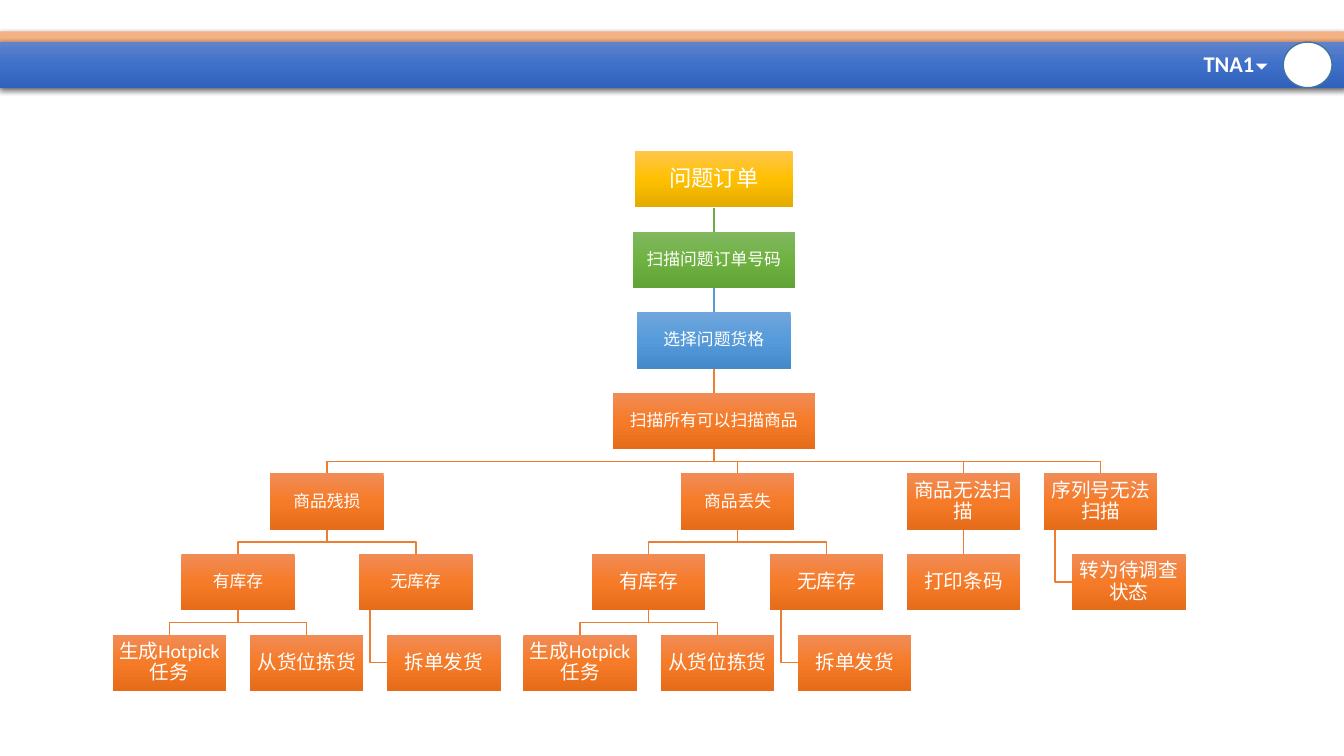
from copy import deepcopy
from dataclasses import dataclass, field

from lxml.etree import SubElement
from pptx import Presentation
from pptx.dml.color import RGBColor
from pptx.enum.shapes import MSO_CONNECTOR, MSO_SHAPE
from pptx.enum.text import MSO_ANCHOR, MSO_AUTO_SIZE, PP_ALIGN
from pptx.oxml.ns import qn
from pptx.util import Cm, Pt


@dataclass
class Theme:
    font: str = "Calibri"
    large: int = 16
    medium: int = 14
    small: int = 12
    white: str = "FFFFFF"
    stripe: str = "F4B183"
    badge_line: str = "43739E"
    header: tuple = ("6183CB", "3E70CA", "3062BB")
    # Each family: box gradient from top to bottom, then connector colour
    families: dict = field(default_factory=lambda: {
        "gold": (("FFC64B", "FFC000", "E3AB00"), "FFC000"),
        "green": (("81B861", "6FB242", "62A336"), "70AD47"),
        "blue": (("71A6DB", "559BDB", "448ACA"), "5B9BD5"),
        "orange": (("F18C57", "F67B28", "E56C19"), "ED7D31"),
    })


THEME = Theme()
SLIDE_W, SLIDE_H = 33.87, 19.05
ROW_TOP, ROW_STEP, BOX_H, BOX_W = 3.81, 2.03, 1.42, 2.86
ROOT_X = 17.99
HANG_INDENT = 0.28


@dataclass
class Node:
    text: str
    dx: float = 0  # centre, measured from the parent's centre
    children: list = field(default_factory=list)
    size: int = THEME.medium
    family: str = "orange"
    width: float = BOX_W
    hang: bool = False  # joined at its left side


class Deck:
    def __init__(self, theme):
        self.theme = theme
        self.prs = Presentation()
        self.prs.slide_width, self.prs.slide_height = Cm(SLIDE_W), Cm(SLIDE_H)
        self.slide = self.prs.slides.add_slide(self.prs.slide_layouts[6])

    def shape(self, kind, x, y, w, h, fill, line=None, shadow=False):
        s = self.slide.shapes.add_shape(kind, Cm(x), Cm(y), Cm(w), Cm(h))
        s.shadow.inherit = False
        if isinstance(fill, str):
            s.fill.solid()
            s.fill.fore_color.rgb = RGBColor.from_string(fill)
        else:
            self.gradient(s, fill)
        if line:
            self.stroke(s, line)
        else:
            s.line.fill.background()
        if shadow:
            self.drop_shadow(s)
        return s

    def gradient(self, s, colours):
        s.fill.gradient()
        s.fill.gradient_angle = 270
        stops = s._element.spPr.find(".//" + qn("a:gsLst"))
        stops.append(deepcopy(stops[0]))
        for i, (stop, colour) in enumerate(zip(s.fill.gradient_stops, colours)):
            stop.position = i / 2
            stop.color.rgb = RGBColor.from_string(colour)

    def drop_shadow(self, s):
        effects = s._element.spPr.find(qn("a:effectLst"))
        shadow = SubElement(effects, qn("a:outerShdw"), blurRad=str(Pt(4.5)),
                            dist=str(Pt(1.5)), dir="5400000", rotWithShape="0")
        colour = SubElement(shadow, qn("a:srgbClr"), val="000000")
        SubElement(colour, qn("a:alpha"), val="63000")

    def stroke(self, s, colour):
        s.line.color.rgb = RGBColor.from_string(colour)
        s.line.width = Pt(1)

    def text(self, s, text, size, bold=False, wrap=True, inset=0.03):
        tf = s.text_frame
        frame = {"word_wrap": wrap, "vertical_anchor": MSO_ANCHOR.MIDDLE}
        frame.update({f"margin_{side}": Cm(inset)
                      for side in ("left", "right", "top", "bottom")})
        p = tf.paragraphs[0]
        r = p.add_run()
        r.text = text
        formats = (
            (tf, frame),
            (p, {"alignment": PP_ALIGN.CENTER, "line_spacing": 0.9}),
            (r.font, {"name": self.theme.font, "size": Pt(size), "bold": bold}),
        )
        for target, values in formats:
            for name, value in values.items():
                setattr(target, name, value)
        r.font.color.rgb = RGBColor.from_string(self.theme.white)

    def label(self, x, y, w, h, text, size):
        s = self.slide.shapes.add_textbox(Cm(x), Cm(y), Cm(w), Cm(h))
        self.text(s, text, size, bold=True, wrap=False, inset=0.13)
        s.text_frame.auto_size = MSO_AUTO_SIZE.SHAPE_TO_FIT_TEXT

    def link(self, points, colour):
        points = [(Cm(x), Cm(y)) for x, y in points]
        shapes = self.slide.shapes
        if len(points) == 2:
            s = shapes.add_connector(MSO_CONNECTOR.STRAIGHT, *points[0], *points[1])
            SubElement(s._element.spPr, qn("a:effectLst"))
        else:
            outline = shapes.build_freeform(*points[0])
            outline.add_line_segments(points[1:], close=False)
            s = outline.convert_to_shape()
            s.shadow.inherit = False
            s.fill.background()
        self.stroke(s, colour)

    def tree(self, node, x, row=0):
        top = ROW_TOP + row * ROW_STEP
        bottom, next_top = top + BOX_H, top + ROW_STEP
        middle = (bottom + next_top) / 2
        for child in node.children:
            cx = x + child.dx
            if child.hang:
                stem, side = x - node.width / 2 + HANG_INDENT, next_top + BOX_H / 2
                points = [(stem, bottom), (stem, side), (cx - child.width / 2, side)]
            elif child.dx:
                points = [(x, bottom), (x, middle), (cx, middle), (cx, next_top)]
            else:
                points = [(x, bottom), (x, next_top)]
            self.link(points, self.theme.families[child.family][1])
            self.tree(child, cx, row + 1)
        s = self.shape(MSO_SHAPE.RECTANGLE, x - node.width / 2, top, node.width,
                       BOX_H, self.theme.families[node.family][0])
        self.text(s, node.text, node.size)


def stock_branch(text, dx, stock_size):
    """A goods problem, split by whether stock is left."""
    in_stock = [Node("生成Hotpick任务", -1.73), Node("从货位拣货", 1.73)]
    no_stock = [Node("拆单发货", 0.71, hang=True)]
    return Node(text, dx, [
        Node("有库存", -2.24, in_stock, stock_size),
        Node("无库存", 2.24, no_stock, stock_size),
    ], THEME.small)


def main():
    deck = Deck(THEME)

    # Header bars, user name and badge
    deck.shape(MSO_SHAPE.RECTANGLE, 0, 0.79, SLIDE_W, 0.28, THEME.stripe, shadow=True)
    deck.shape(MSO_SHAPE.RECTANGLE, 0, 1.06, SLIDE_W, 1.15, THEME.header, shadow=True)
    deck.shape(MSO_SHAPE.OVAL, 32.34, 1.06, 1.23, 1.15, THEME.white, THEME.badge_line)
    deck.label(30.07, 1.18, 1.8, 0.94, "TNA1", THEME.large)
    arrow = deck.shape(MSO_SHAPE.RIGHT_TRIANGLE, 31.69, 1.5, 0.21, 0.21, THEME.white)
    arrow.rotation = 314.5

    # Flow chart of problem orders
    problems = [
        stock_branch("商品残损", -9.75, THEME.small),
        stock_branch("商品丢失", 0.6, THEME.medium),
        Node("商品无法扫描", 6.29, [Node("打印条码")]),
        Node("序列号无法扫描", 9.75, [Node("转为待调查状态", 0.71, hang=True)]),
    ]
    scan_goods = Node("扫描所有可以扫描商品", 0, problems, THEME.small, width=5.09)
    pick_slot = Node("选择问题货格", 0, [scan_goods], THEME.small, "blue", 3.87)
    scan_order = Node("扫描问题订单号码", 0, [pick_slot], THEME.small, "green", 4.09)
    order = Node("问题订单", 0, [scan_order], THEME.large, "gold", 3.97)
    deck.tree(order, ROOT_X)

    deck.prs.save("out.pptx")


if __name__ == "__main__":
    main()
